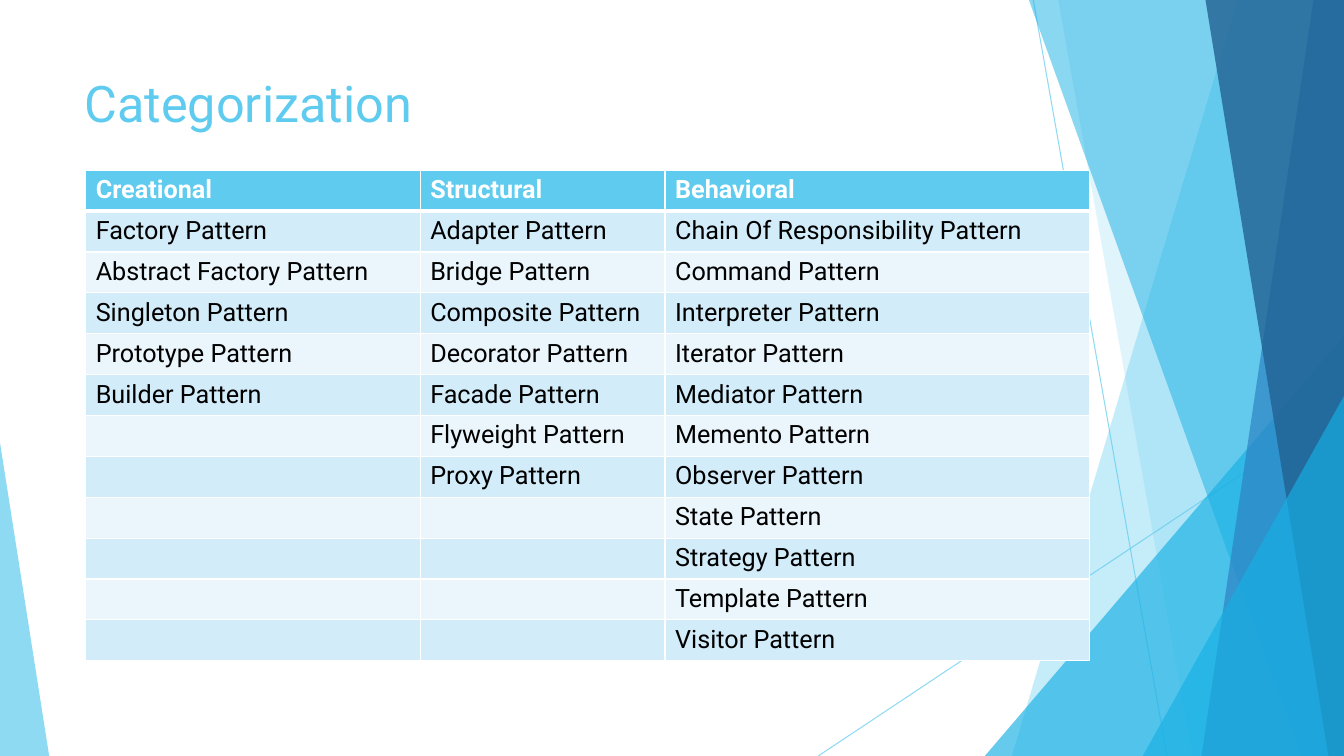
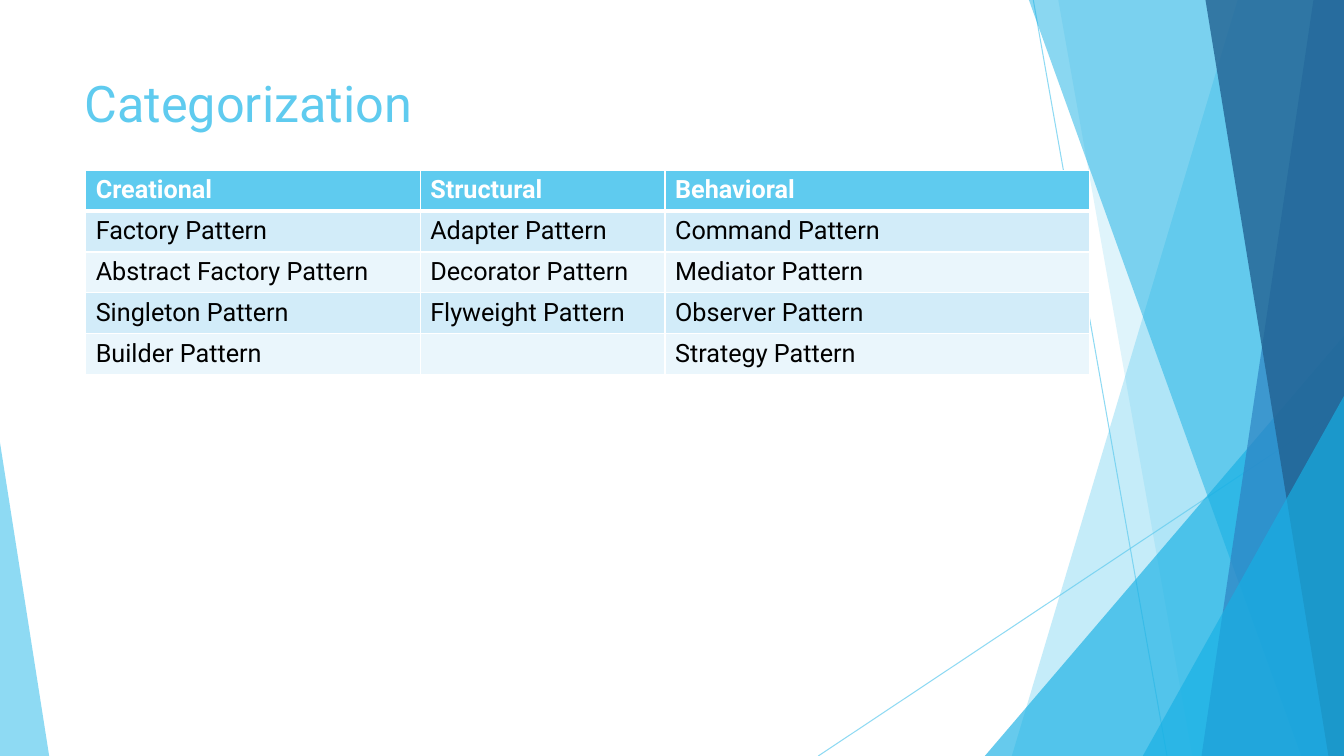
from dataclasses import dataclass
from itertools import zip_longest

from lxml.etree import SubElement
from pptx import Presentation
from pptx.dml.color import RGBColor
from pptx.enum.shapes import MSO_CONNECTOR as Connector, MSO_SHAPE as Preset
from pptx.enum.text import MSO_ANCHOR as Anchor, PP_ALIGN as Align
from pptx.oxml.ns import qn
from pptx.slide import Slide, SlideLayout
from pptx.util import Cm, Pt


@dataclass(frozen=True)
class Theme:
    font: str = "Roboto"
    sky: str = "5FCBEF"
    azure: str = "17B0E4"
    blue: str = "2E83C3"
    navy: str = "226292"
    white: str = "FFFFFF"
    black: str = "000000"
    bands: tuple[str, str] = ("D2ECF9", "EAF6FC")
    title_size: int = 36
    table_size: int = 18
    hairline: float = 0.75
    grid_line: float = 1
    header_line: float = 3


@dataclass(frozen=True)
class Ray:
    x1: float
    y1: float
    x2: float
    y2: float


@dataclass(frozen=True)
class Blade:
    top_x: float
    bottom_x: float
    color: str
    opacity: int


@dataclass(frozen=True)
class Wedge:
    left: float
    top: float
    width: float
    apex: float
    color: str
    opacity: int


@dataclass(frozen=True)
class Category:
    name: str
    patterns: list[str]


THEME = Theme()
WIDTH, HEIGHT = 33.87, 19.05
TABLE_LEFT, TABLE_TOP, ROW_HEIGHT = 2.16, 4.29, 1.03
COLUMN_WIDTHS = (8.43, 6.17, 10.69)

RAYS = (
    Ray(26.04, 0, 29.41, HEIGHT),
    Ray(WIDTH, 10.24, 20.62, HEIGHT),
)
FACETS = (
    Blade(31.19, 25.5, THEME.sky, 36),
    Blade(26.67, 30.05, THEME.sky, 20),
    Wedge(24.82, 8.46, 9.05, 1, THEME.azure, 66),
    Blade(25.93, 32.79, THEME.azure, 50),
    Blade(33.1, 30.28, THEME.blue, 70),
    Blade(30.38, 33.48, THEME.navy, 80),
    Wedge(28.8, 9.98, 5.07, 1, THEME.azure, 66),
    Wedge(0, 11.15, 1.24, 0, THEME.sky, 70),
)

ALL_PATTERNS = (
    Category("Creational", ["Factory", "Abstract Factory", "Singleton", "Prototype", "Builder"]),
    Category("Structural", ["Adapter", "Bridge", "Composite", "Decorator", "Facade",
                            "Flyweight", "Proxy"]),
    Category("Behavioral", ["Chain Of Responsibility", "Command", "Interpreter", "Iterator",
                            "Mediator", "Memento", "Observer", "State", "Strategy",
                            "Template", "Visitor"]),
)
SELECTED_PATTERNS = (
    Category("Creational", ["Factory", "Abstract Factory", "Singleton", "Builder"]),
    Category("Structural", ["Adapter", "Decorator", "Flyweight"]),
    Category("Behavioral", ["Command", "Mediator", "Observer", "Strategy"]),
)


def set_opacity(element, percent: int) -> None:
    color = next(element.iter(qn("a:srgbClr")))
    SubElement(color, qn("a:alpha"), val=str(percent * 1000))


def draw_ray(slide: Slide, ray: Ray):
    line = slide.shapes.add_connector(
        Connector.STRAIGHT, Cm(ray.x1), Cm(ray.y1), Cm(ray.x2), Cm(ray.y2))
    line.line.color.rgb = RGBColor.from_string(THEME.sky)
    line.line.width = Pt(THEME.hairline)
    properties = line.element.spPr
    set_opacity(properties, 70)
    SubElement(properties, qn("a:effectLst"))
    return line


def draw_facet(slide: Slide, facet: Blade | Wedge):
    if isinstance(facet, Blade):
        outline = slide.shapes.build_freeform(Cm(facet.top_x), 0)
        outline.add_line_segments([
            (Cm(WIDTH), 0), (Cm(WIDTH), Cm(HEIGHT)), (Cm(facet.bottom_x), Cm(HEIGHT))])
        shape = outline.convert_to_shape()
    else:
        shape = slide.shapes.add_shape(
            Preset.ISOSCELES_TRIANGLE, Cm(facet.left), Cm(facet.top),
            Cm(facet.width), Cm(HEIGHT - facet.top))
        shape.adjustments[0] = facet.apex
    shape.shadow.inherit = False
    shape.line.fill.background()
    shape.fill.solid()
    shape.fill.fore_color.rgb = RGBColor.from_string(facet.color)
    set_opacity(shape.element.spPr, facet.opacity)
    return shape


def decorate_layout(layout: SlideLayout, slide: Slide) -> None:
    tree = layout.shapes.element
    for placeholder in list(layout.placeholders):
        if placeholder.placeholder_format.idx != 0:
            tree.remove(placeholder.element)
    shapes = [draw_ray(slide, ray) for ray in RAYS]
    shapes += [draw_facet(slide, facet) for facet in FACETS]
    for position, shape in enumerate(shapes, start=2):
        tree.insert(position, shape.element)


def format_text(para, size: int, color: str, bold: bool = False) -> None:
    for span in para.runs:
        span.font.name = THEME.font
        span.font.size = Pt(size)
        span.font.bold = bold
        span.font.color.rgb = RGBColor.from_string(color)


def set_title(slide: Slide, text: str) -> None:
    title = slide.shapes.title
    title.left, title.top, title.width, title.height = Cm(1.88), Cm(1.7), Cm(23.88), Cm(2.16)
    frame = title.text_frame
    frame.text = text
    frame.word_wrap = True
    frame.vertical_anchor = Anchor.TOP
    para = frame.paragraphs[0]
    para.alignment = Align.LEFT
    format_text(para, THEME.title_size, THEME.sky)


def set_borders(cell, top: float, bottom: float) -> None:
    properties = cell._tc.get_or_add_tcPr()
    sides = (("L", THEME.grid_line), ("R", THEME.grid_line), ("T", top), ("B", bottom))
    for position, (side, width) in enumerate(sides):
        border = SubElement(properties, qn(f"a:ln{side}"), w=str(Pt(width)))
        fill = SubElement(border, qn("a:solidFill"))
        SubElement(fill, qn("a:srgbClr"), val=THEME.white)
        properties.insert(position, border)


def add_pattern_table(slide: Slide, categories: tuple[Category, ...]) -> None:
    body = zip_longest(*(category.patterns for category in categories))
    rows = [[category.name for category in categories]]
    rows += [[f"{name} Pattern" if name else "" for name in names] for names in body]
    table = slide.shapes.add_table(
        len(rows), len(categories), Cm(TABLE_LEFT), Cm(TABLE_TOP),
        Cm(sum(COLUMN_WIDTHS)), Cm(ROW_HEIGHT * len(rows))).table
    for column, width in zip(table.columns, COLUMN_WIDTHS):
        column.width = Cm(width)
    for row_index, texts in enumerate(rows):
        table.rows[row_index].height = Cm(ROW_HEIGHT)
        header = row_index == 0
        fill = THEME.sky if header else THEME.bands[(row_index - 1) % 2]
        top = THEME.header_line if row_index == 1 else THEME.grid_line
        bottom = THEME.header_line if header else THEME.grid_line
        for column_index, text in enumerate(texts):
            cell = table.cell(row_index, column_index)
            cell.text_frame.text = text
            cell.fill.solid()
            cell.fill.fore_color.rgb = RGBColor.from_string(fill)
            set_borders(cell, top, bottom)
            format_text(cell.text_frame.paragraphs[0], THEME.table_size,
                        THEME.white if header else THEME.black, header)


def build_deck() -> None:
    deck = Presentation()
    deck.slide_width, deck.slide_height = Cm(WIDTH), Cm(HEIGHT)
    layout = deck.slide_layouts.get_by_name("Title Only")
    pages = [deck.slides.add_slide(layout) for _ in range(2)]
    decorate_layout(layout, pages[0])
    for page, categories in zip(pages, (ALL_PATTERNS, SELECTED_PATTERNS)):
        set_title(page, "Categorization")
        add_pattern_table(page, categories)
    deck.save("out.pptx")


build_deck()
